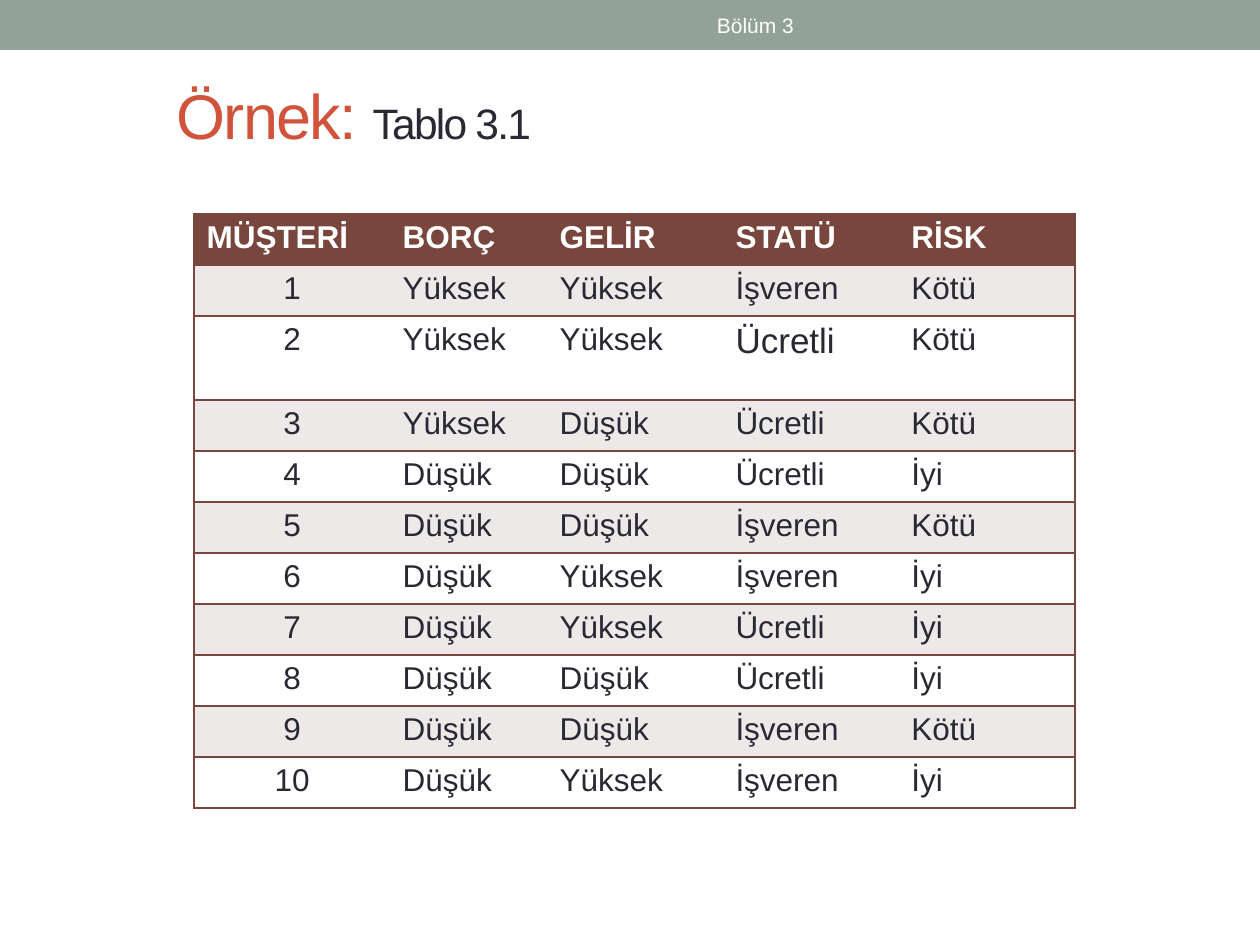
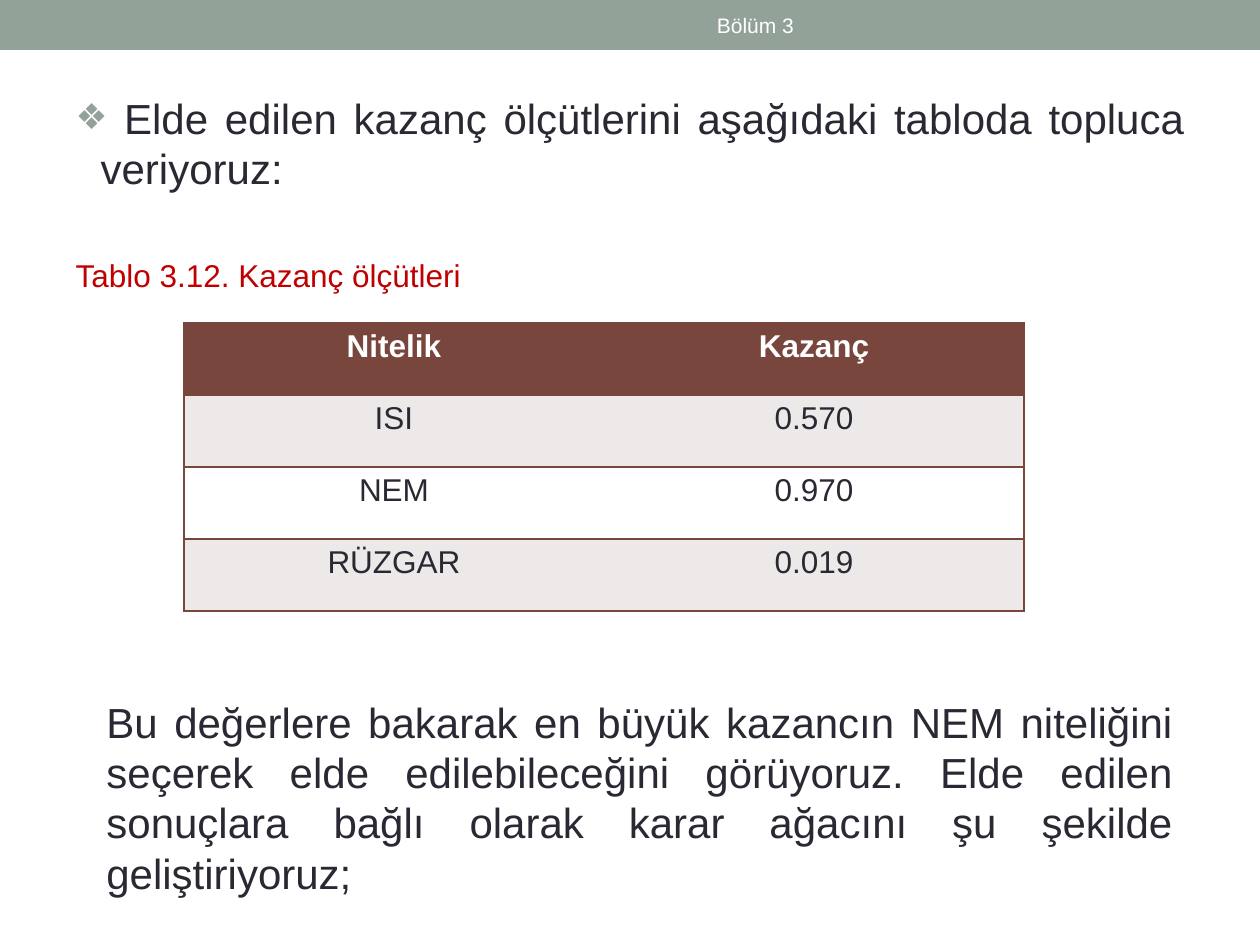
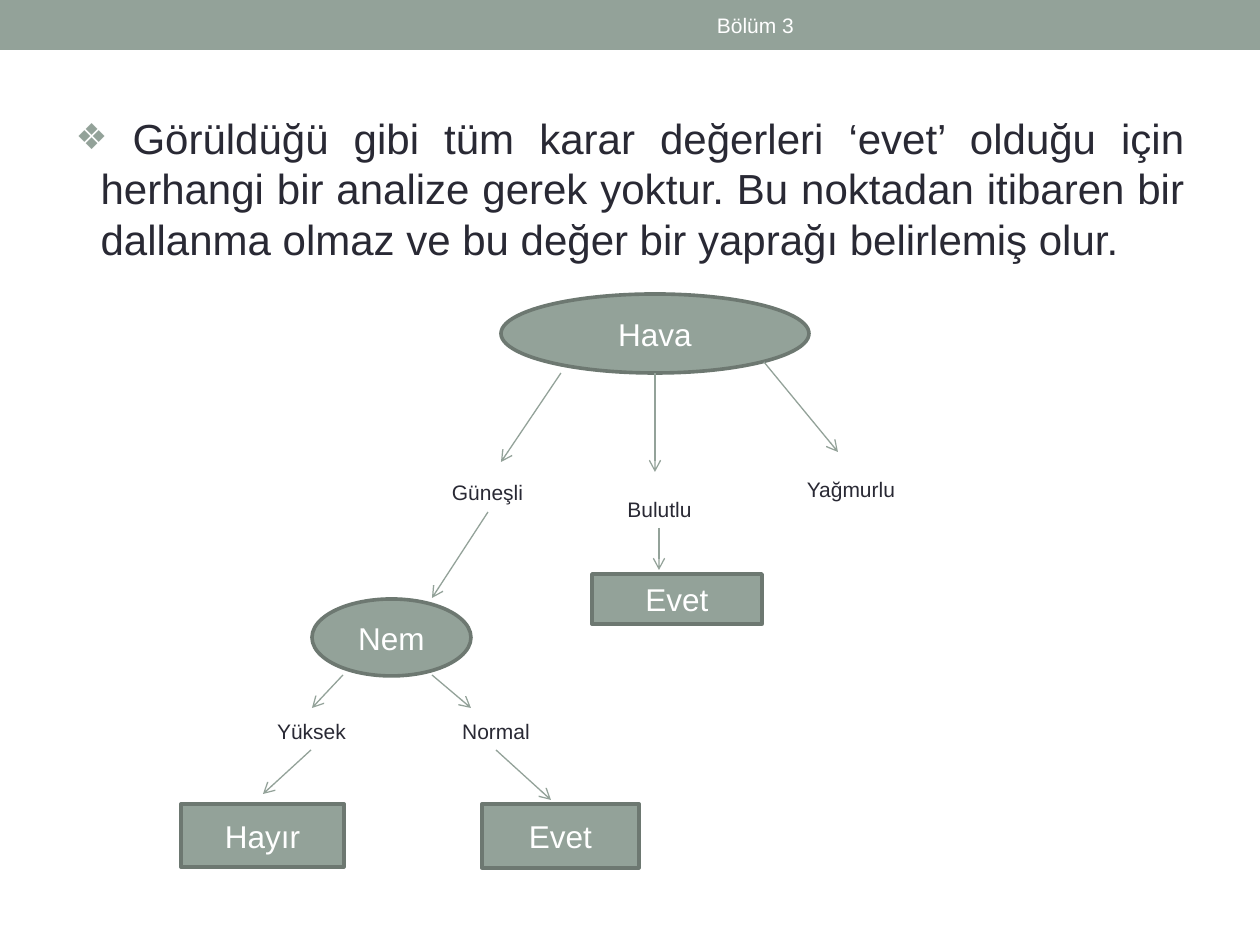
from dataclasses import dataclass

from lxml import etree
from pptx import Presentation
from pptx import util as u
from pptx.dml.color import RGBColor
from pptx.enum import shapes, text
from pptx.oxml import ns

PX = 914400 // 126  # 126 px to the inch


@dataclass(frozen=True)
class Theme:
    font: str = "Arial"
    sage: RGBColor = RGBColor.from_string("93A299")
    outline: RGBColor = RGBColor.from_string("6D7871")
    ink: RGBColor = RGBColor.from_string("292934")
    white: RGBColor = RGBColor.from_string("FFFFFF")
    accent: RGBColor = RGBColor.from_string("D2533C")
    caption: RGBColor = RGBColor.from_string("C00000")
    brown: RGBColor = RGBColor.from_string("79463D")
    stripe: RGBColor = RGBColor.from_string("ECE9E8")
    title: int = 36
    subtitle: float = 24.3
    body: int = 24
    large_cell: int = 20
    node: int = 18
    label: int = 12


theme = Theme()
LEFT, CENTER, JUSTIFY = text.PP_ALIGN.LEFT, text.PP_ALIGN.CENTER, text.PP_ALIGN.JUSTIFY
NO_GRID_STYLE = "{2D5ABB26-0587-4C30-8999-92F81FD0307C}"


def style(paragraph, size, color, align=LEFT, bold=False):
    paragraph.alignment = align
    for run in paragraph.runs:
        run.font.name = theme.font
        run.font.size = u.Pt(size)
        run.font.color.rgb = color
        run.font.bold = bold


def add_grid(slide, rows, left, top, widths, heights, centered):
    """Add a striped table with ruled rows; centered holds the centred body columns."""
    table = slide.shapes.add_table(len(rows), len(widths), left * PX, top * PX,
                                   sum(widths) * PX, sum(heights) * PX).table
    table._tbl.tblPr.find(ns.qn("a:tableStyleId")).text = NO_GRID_STYLE
    for column, width in zip(table.columns, widths):
        column.width = width * PX
    for r, (values, height) in enumerate(zip(rows, heights)):
        table.rows[r].height = height * PX
        for c, value in enumerate(values):
            cell = table.cell(r, c)
            edges = ["lnL"] * (c == 0) + ["lnR"] * (c == len(widths) - 1) + ["lnT", "lnB"]
            for edge in edges:
                line = etree.SubElement(cell._tc.get_or_add_tcPr(), ns.qn("a:" + edge), w="12700")
                fill = etree.SubElement(line, ns.qn("a:solidFill"))
                etree.SubElement(fill, ns.qn("a:srgbClr"), val=str(theme.brown))
            header = r == 0
            cell.fill.solid()
            cell.fill.fore_color.rgb = theme.brown if header else (theme.white, theme.stripe)[r % 2]
            cell.text_frame.text = value
            align = CENTER if c in centered and (not header or len(centered) > 1) else LEFT
            style(cell.text_frame.paragraphs[0], theme.node,
                  theme.white if header else theme.ink, align, header)
    return table


prs = Presentation()
prs.slide_width, prs.slide_height = 1260 * PX, 945 * PX
title_only, title_and_body = prs.slide_layouts[5], prs.slide_layouts[1]
customers, gains, tree = [prs.slides.add_slide(layout)
                          for layout in (title_only, title_and_body, title_and_body)]

# Shared band, kept on the slide master
band = customers.shapes.add_shape(shapes.MSO_SHAPE.RECTANGLE, 0, 0, 1260 * PX, 50 * PX)
band.shadow.inherit = False
band.fill.solid()
band.fill.fore_color.rgb = theme.sage
band.line.fill.background()
prs.slide_master.element.cSld.spTree.insert(2, band.element)

for slide in prs.slides:
    chapter = slide.shapes.add_textbox(472 * PX, 3 * PX, 567 * PX, 45 * PX).text_frame
    chapter.word_wrap = True
    chapter.vertical_anchor = text.MSO_ANCHOR.MIDDLE
    chapter.text = "Bölüm 3"
    style(chapter.paragraphs[0], theme.label, theme.white, CENTER)

# Slide 1: customer table
heading = customers.shapes.title
heading.left, heading.top, heading.width, heading.height = 164 * PX, 73 * PX, 486 * PX, 82 * PX
heading.text_frame.text = "Örnek: "
heading_line = heading.text_frame.paragraphs[0]
heading_line.add_run().text = "Tablo 3.1"
style(heading_line, theme.title, theme.accent)
heading_line.runs[1].font.size = u.Pt(theme.subtitle)
heading_line.runs[1].font.color.rgb = theme.ink
for run in heading_line.runs:
    run.font._element.set("spc", "-100")

customer_rows = [
    ("MÜŞTERİ", "BORÇ", "GELİR", "STATÜ", "RİSK"),
    ("1", "Yüksek", "Yüksek", "İşveren", "Kötü"),
    ("2", "Yüksek", "Yüksek", "Ücretli", "Kötü"),
    ("3", "Yüksek", "Düşük", "Ücretli", "Kötü"),
    ("4", "Düşük", "Düşük", "Ücretli", "İyi"),
    ("5", "Düşük", "Düşük", "İşveren", "Kötü"),
    ("6", "Düşük", "Yüksek", "İşveren", "İyi"),
    ("7", "Düşük", "Yüksek", "Ücretli", "İyi"),
    ("8", "Düşük", "Düşük", "Ücretli", "İyi"),
    ("9", "Düşük", "Düşük", "İşveren", "Kötü"),
    ("10", "Düşük", "Yüksek", "İşveren", "İyi"),
]
customer_table = add_grid(customers, customer_rows, 194, 214, [196, 157, 176, 176, 176],
                          [51, 51, 84] + [51] * 8, centered={0})
customer_table.cell(2, 3).text_frame.paragraphs[0].runs[0].font.size = u.Pt(theme.large_cell)

# Slides 2 and 3: bulleted lead paragraph
leads = [
    (gains, 86, 806, " Elde edilen kazanç ölçütlerini aşağıdaki tabloda topluca veriyoruz:"),
    (tree, 106, 824, " Görüldüğü gibi tüm karar değerleri ‘evet’ olduğu için herhangi bir "
     "analize gerek yoktur. Bu noktadan itibaren bir dallanma olmaz ve bu değer bir "
     "yaprağı belirlemiş olur."),
]
for slide, top, height, sentence in leads:
    slide.shapes.title.element.getparent().remove(slide.shapes.title.element)
    body = slide.placeholders[1]
    body.left, body.top, body.width, body.height = 63 * PX, top * PX, 1134 * PX, height * PX
    body.text_frame.text = sentence
    lead = body.text_frame.paragraphs[0]
    props = lead._p.get_or_add_pPr()
    props.set("marL", str(25 * PX))
    props.set("indent", str(-25 * PX))
    bullet_color = etree.SubElement(props, ns.qn("a:buClr"))
    etree.SubElement(bullet_color, ns.qn("a:srgbClr"), val=str(theme.sage))
    etree.SubElement(props, ns.qn("a:buSzPct"), val="85000")
    etree.SubElement(props, ns.qn("a:buChar"), char="❖")
    lead.space_before = u.Pt(0)
    style(lead, theme.body, theme.ink, JUSTIFY)

# Slide 2: gain table
caption = gains.placeholders[1].text_frame.add_paragraph()
caption.text = "Tablo 3.12. Kazanç ölçütleri"
props = caption._p.get_or_add_pPr()
props.set("marL", "0")
props.set("indent", "0")
etree.SubElement(props, ns.qn("a:buNone"))
caption.space_before = u.Pt(36)
style(caption, theme.node, theme.caption, JUSTIFY)

gain_rows = [("Nitelik", "Kazanç"), ("ISI", "0.570"), ("NEM", "0.970"), ("RÜZGAR", "0.019")]
add_grid(gains, gain_rows, 184, 323, [420] * 2, [72] * 4, centered={0, 1})

conclusion = gains.shapes.add_textbox(94 * PX, 690 * PX, 1091 * PX, 217 * PX).text_frame
conclusion.word_wrap = True
conclusion.text = ("Bu değerlere bakarak en büyük kazancın NEM niteliğini seçerek elde "
                   "edilebileceğini görüyoruz. Elde edilen sonuçlara bağlı olarak karar "
                   "ağacını şu şekilde geliştiriyoruz;")
style(conclusion.paragraphs[0], theme.body, theme.ink, JUSTIFY)

# Slide 3: decision tree
OVAL, BOX = shapes.MSO_SHAPE.OVAL, shapes.MSO_SHAPE.RECTANGLE
nodes = [
    ("Hava", OVAL, 501, 294, 308, 79),
    ("Evet", BOX, 592, 574, 170, 50),
    ("Nem", OVAL, 312, 599, 159, 77),
    ("Hayır", BOX, 181, 804, 163, 63),
    ("Evet", BOX, 482, 804, 157, 64),
]
for name, outline, left, top, width, height in nodes:
    node = tree.shapes.add_shape(outline, left * PX, top * PX, width * PX, height * PX)
    node.shadow.inherit = False
    node.fill.solid()
    node.fill.fore_color.rgb = theme.sage
    node.line.color.rgb = theme.outline
    node.line.width = u.Pt(2.08)
    node.text_frame.text = name
    node.text_frame.vertical_anchor = text.MSO_ANCHOR.MIDDLE
    style(node.text_frame.paragraphs[0], theme.node, theme.white, CENTER)

branches = [
    ("Güneşli", 408, 473, 159),
    ("Bulutlu", 567, 490, 185),
    ("Yağmurlu", 763, 470, 176),
    ("Yüksek", 219, 712, 185),
    ("Normal", 404, 712, 184),
]
for value, left, top, width in branches:
    branch = tree.shapes.add_textbox(left * PX, top * PX, width * PX, 38 * PX).text_frame
    branch.word_wrap = True
    branch.text = value
    style(branch.paragraphs[0], theme.label, theme.ink, CENTER)

arrows = [
    (561, 373, 501, 462), (655, 373, 655, 472), (764, 362, 838, 452),
    (659, 528, 659, 570), (488, 512, 432, 598),
    (343, 675, 312, 708), (432, 675, 471, 708),
    (311, 750, 263, 794), (496, 750, 551, 800),
]
for ends in arrows:
    arrow = tree.shapes.add_connector(shapes.MSO_CONNECTOR.STRAIGHT, *[end * PX for end in ends])
    arrow.line.color.rgb = theme.sage
    arrow.line.width = u.Pt(0.75)
    etree.SubElement(arrow.line._get_or_add_ln(), ns.qn("a:tailEnd"), type="arrow")
    etree.SubElement(arrow.element.spPr, ns.qn("a:effectLst"))

prs.save("out.pptx")
